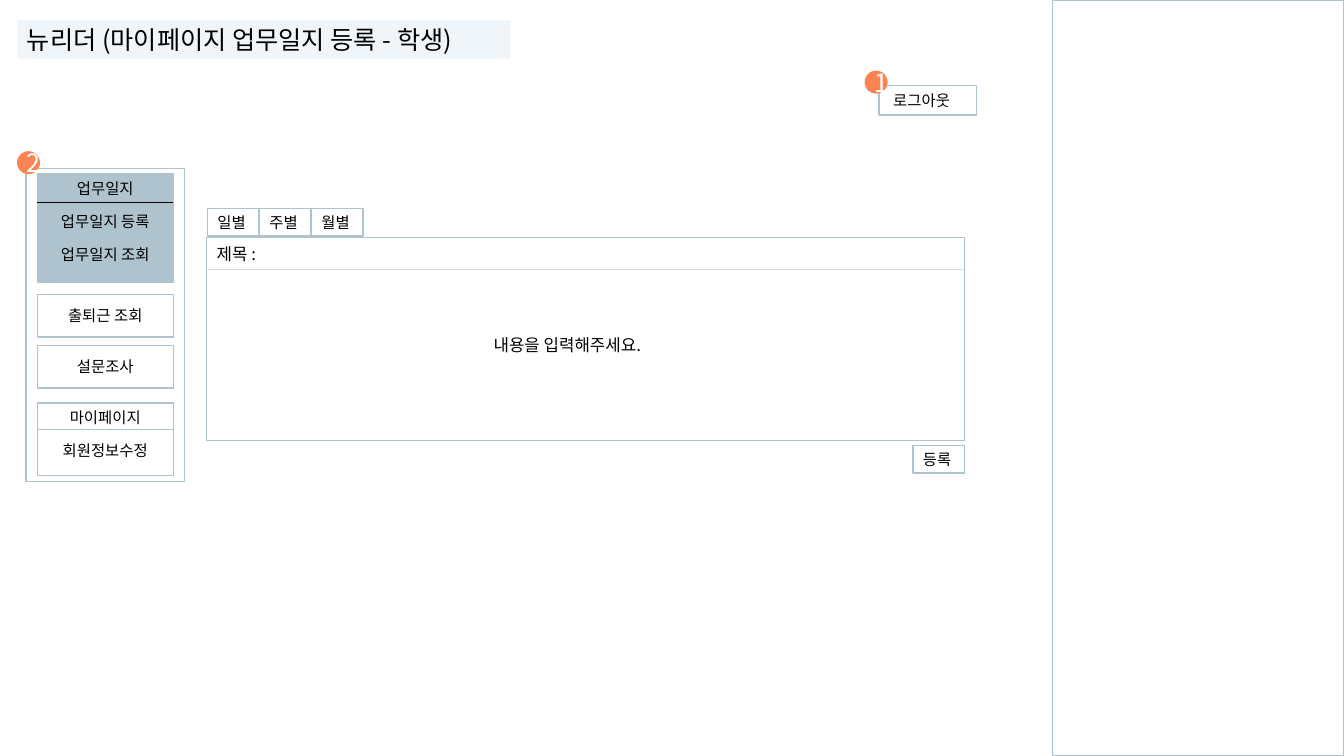
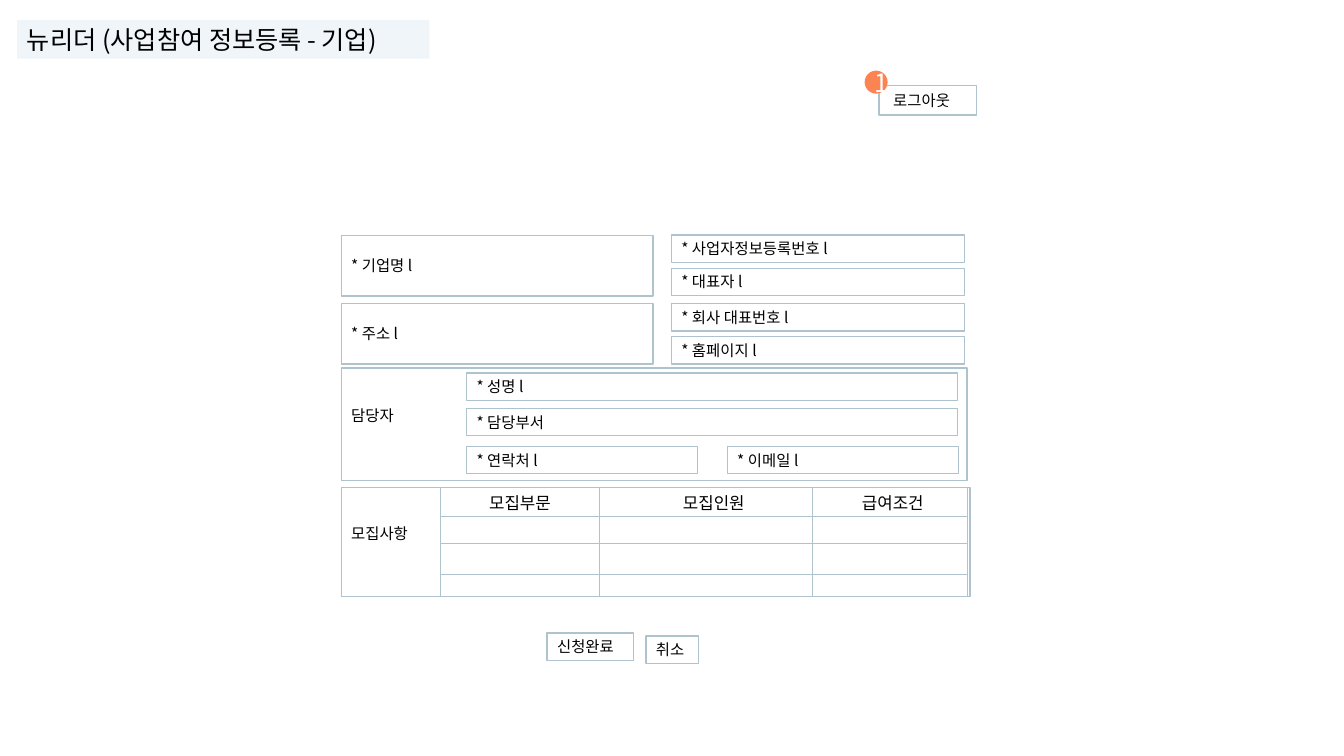
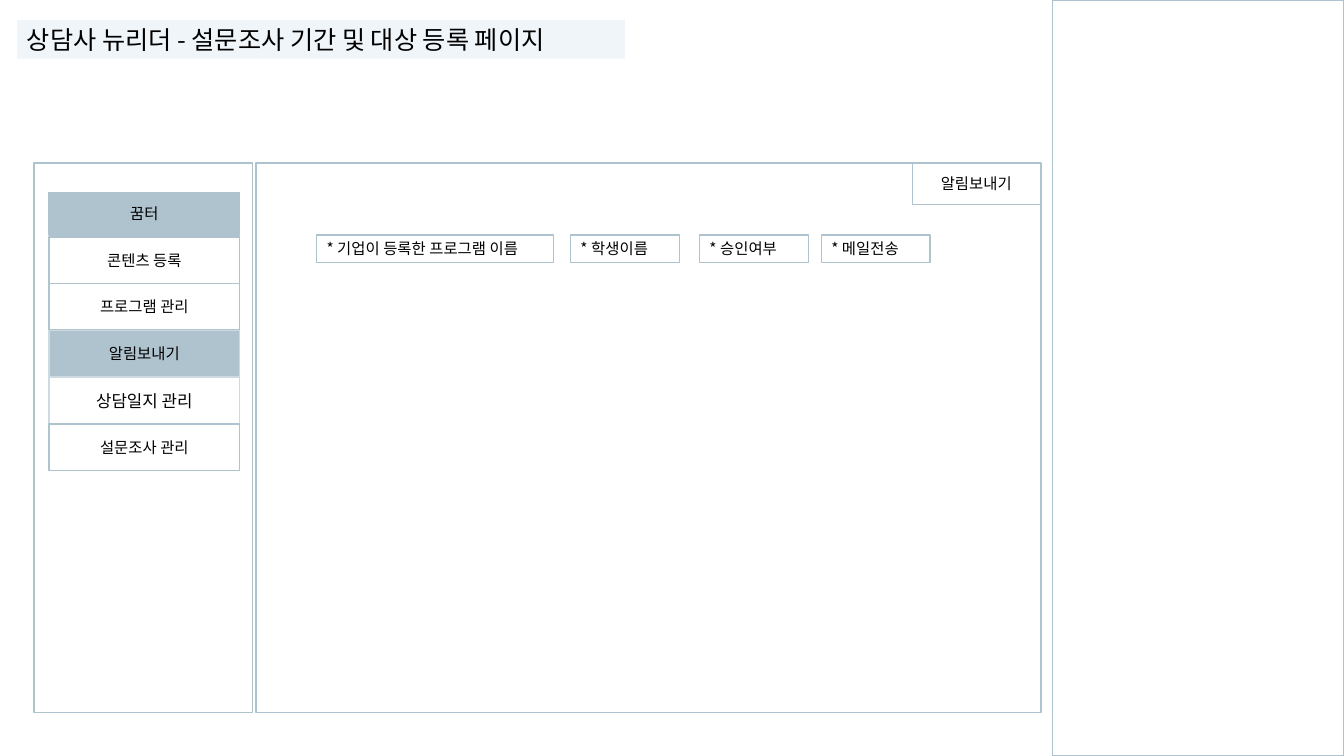
from dataclasses import dataclass

from lxml.etree import SubElement
from pptx import Presentation
from pptx.dml.color import RGBColor
from pptx.enum.shapes import MSO_CONNECTOR, MSO_SHAPE
from pptx.enum.text import MSO_ANCHOR, PP_ALIGN
from pptx.oxml import parse_xml
from pptx.oxml.ns import nsdecls, qn
from pptx.util import Cm, Pt

FONT = "Noto Sans CJK KR"
HUES = {
    "ink": "000000",
    "white": "FFFFFF",
    "band": "F0F5F9",
    "edge": "AFC3CE",
    "pale": "CDDAE1",
    "badge": "FC8453",
}
ROW = 0.69  # height of a one-line field
LEFT, MID = PP_ALIGN.LEFT, PP_ALIGN.CENTER


@dataclass
class Box:
    """A rectangle in centimetres, with its text and look."""
    x: float
    y: float
    w: float
    h: float = ROW
    text: str = ""
    align: PP_ALIGN = LEFT
    size: float = 11
    fill: str = ""
    line: str = "edge"
    top: bool = False
    pad: float = 0.25
    foot: float = 0.13


def hue(name: str) -> RGBColor:
    return RGBColor.from_string(HUES[name])


def put_text(frame, text: str, *, size: float = 11, color: str = "ink",
             align=LEFT, gap: float = 10.5) -> None:
    """Fill a text frame, one paragraph a line, with a gap between them."""
    frame.word_wrap = True
    for i, part in enumerate(text.split("\n")):
        para = frame.add_paragraph() if i else frame.paragraphs[0]
        para.alignment = align
        if i:
            para.space_before = Pt(gap)
        run = para.add_run()
        run.text = part
        run.font.size = Pt(size)
        run.font.color.rgb = hue(color)
        run.font.name = FONT
        SubElement(run.font._element, qn("a:ea"), typeface=FONT)


def add_box(slide, box: Box, kind=MSO_SHAPE.RECTANGLE, color: str = "ink") -> None:
    shape = slide.shapes.add_shape(kind, Cm(box.x), Cm(box.y), Cm(box.w), Cm(box.h))
    shape.shadow.inherit = False
    if box.fill:
        shape.fill.solid()
        shape.fill.fore_color.rgb = hue(box.fill)
    else:
        shape.fill.background()
    if box.line:
        shape.line.color.rgb = hue(box.line)
        shape.line.width = Pt(1)
    else:
        shape.line.fill.background()
    if box.text:
        frame = shape.text_frame
        frame.vertical_anchor = MSO_ANCHOR.TOP if box.top else MSO_ANCHOR.MIDDLE
        frame.margin_left = Cm(box.pad)
        frame.margin_bottom = Cm(box.foot)
        put_text(frame, box.text, size=box.size, color=color, align=box.align)


def add_all(slide, boxes: list[Box]) -> None:
    for box in boxes:
        add_box(slide, box)


def add_label(slide, x: float, y: float, w: float, text: str) -> None:
    label = slide.shapes.add_textbox(Cm(x), Cm(y), Cm(w), Cm(0.76))
    put_text(label.text_frame, text, size=12)


def add_rule(slide, x: float, y: float, w: float, color: str, width: float) -> None:
    """Draw a level line."""
    rule = slide.shapes.add_connector(
        MSO_CONNECTOR.STRAIGHT, Cm(x), Cm(y), Cm(x + w), Cm(y))
    rule.line.color.rgb = hue(color)
    rule.line.width = Pt(width)
    SubElement(rule._element.spPr, qn("a:effectLst"))


def add_badge(slide, x: float, y: float, text: str) -> None:
    add_box(slide, Box(x, y, 0.58, 0.58, text, MID, 18, "badge", ""),
            MSO_SHAPE.OVAL, "white")


def add_title(slide, text: str, w: float) -> None:
    add_box(slide, Box(0.43, 0.51, w, 0.97, text, size=18, fill="band", line=""))


def add_logout(slide) -> None:
    add_box(slide, Box(22.15, 2.16, 2.46, 0.74, "로그아웃", pad=0.36))
    add_badge(slide, 21.79, 1.78, "1")


def add_panel(slide) -> None:
    add_box(slide, Box(26.52, 0, 7.35, 19.05))


def add_edges(cell) -> None:
    """Give a cell thin lines on all four sides."""
    for i, side in enumerate("LRTB"):
        edge = parse_xml(
            f'<a:ln{side} {nsdecls("a")} w="6350"><a:solidFill>'
            f'<a:srgbClr val="{HUES["edge"]}"/></a:solidFill></a:ln{side}>')
        cell._tc.get_or_add_tcPr().insert(i, edge)


def add_grid(slide, x: float, y: float) -> None:
    """Draw the table of open posts."""
    heads = [("모집부문", 4.01, 0), ("모집인원", 5.36, 0.4), ("급여조건", 3.91, 0.15)]
    rows = [0.71, 0.69, 0.79, 0.55]
    wide = sum(w for _, w, _ in heads)
    table = slide.shapes.add_table(
        len(rows), len(heads), Cm(x), Cm(y), Cm(wide), Cm(sum(rows))).table
    table.first_row = table.horz_banding = False
    for r, high in enumerate(rows):
        table.rows[r].height = Cm(high)
        for c, (text, w, pad) in enumerate(heads):
            table.columns[c].width = Cm(w)
            cell = table.cell(r, c)
            cell.fill.background()
            add_edges(cell)
            cell.margin_left = Cm(pad)
            cell.margin_right = cell.margin_top = cell.margin_bottom = 0
            cell.vertical_anchor = MSO_ANCHOR.MIDDLE
            if r == 0:
                put_text(cell.text_frame, text, size=12, align=MID)
            else:
                para = cell.text_frame.paragraphs[0]
                SubElement(para._p, qn("a:endParaRPr"), sz="600")


def draw_log(slide) -> None:
    add_title(slide, "뉴리더 (마이페이지 업무일지 등록 - 학생)", 12.42)
    add_logout(slide)
    add_panel(slide)

    add_all(slide, [
        Box(5.21, 5.99, 19.1, 5.11),
        Box(23.01, 11.23, 1.3, text="등록"),
    ])
    add_all(slide, [Box(5.23 + 1.31 * i, 5.26, 1.3, text=tab)
                    for i, tab in enumerate(["일별", "주별", "월별"])])
    add_rule(slide, 5.23, 6.78, 19.05, "pale", 0.5)
    add_label(slide, 5.21, 6.02, 3.2, "제목 :")
    add_label(slide, 12.19, 8.31, 4.8, "내용을 입력해주세요.")

    x, w = 0.94, 3.43
    add_all(slide, [
        Box(0.66, 4.24, 3.99, 7.9),
        Box(x, 4.39, w, 2.72, "업무일지\n업무일지 등록\n업무일지 조회", MID,
            fill="edge", top=True),
        Box(x, 7.42, w, 1.07, "출퇴근 조회", MID),
        Box(x, 8.71, w, 1.07, "설문조사", MID),
        Box(x, 10.16, w, 1.83, "마이페이지\n회원정보수정", MID, top=True),
    ])
    add_rule(slide, x, 5.11, w, "ink", 1)
    add_rule(slide, x, 10.82, w, "edge", 1)
    add_badge(slide, 0.43, 3.81, "2")


def draw_form(slide) -> None:
    add_title(slide, "뉴리더 (사업참여 정보등록 - 기업)", 10.39)
    add_logout(slide)
    x, mid, right = 8.6, 11.76, 16.92
    add_all(slide, [
        Box(x, 5.94, 7.86, 1.52, "* 기업명 l"),
        Box(x, 7.65, 7.86, 1.52, "* 주소 l"),
        Box(right, 5.92, 7.39, text="* 사업자정보등록번호 l"),
        Box(right, 6.76, 7.39, text="* 대표자 l"),
        Box(right, 7.65, 7.39, text="* 회사 대표번호 l"),
        Box(right, 8.48, 7.39, text="* 홈페이지 l"),
        Box(x, 9.27, 15.77, 2.84, "담당자", foot=0.59),
        Box(mid, 9.4, 12.37, text="* 성명 l"),
        Box(mid, 10.29, 12.37, text="* 담당부서"),
        Box(mid, 11.25, 5.82, text="* 연락처 l"),
        Box(18.33, 11.25, 5.82, text="* 이메일 l"),
        Box(x, 12.29, 15.85, 2.74, "모집사항", foot=0.59),
        Box(13.79, 15.95, 2.18, text="신청완료"),
        Box(16.28, 16.03, 1.32, text="취소"),
    ])
    add_grid(slide, 11.1, 12.29)


def draw_alert(slide) -> None:
    add_panel(slide)
    add_title(slide, "상담사 뉴리더 - 설문조사 기간 및 대상 등록 페이지", 15.32)
    y = 5.92
    add_all(slide, [
        Box(6.45, 4.11, 19.79, 13.84),
        Box(22.99, 4.11, 3.23, 1.04, "알림보내기", MID),
        Box(7.98, y, 5.97, text="* 기업이 등록한 프로그램 이름"),
        Box(14.38, y, 2.74, text="* 학생이름"),
        Box(17.63, y, 2.74, text="* 승인여부"),
        Box(20.7, y, 2.74, text="* 메일전송"),
        Box(0.86, 4.11, 5.51, 13.84),
        Box(1.24, 4.85, 4.8, 1.07, "꿈터", MID, fill="edge"),
    ])
    menu = [
        ("콘텐츠 등록", 11, "", "edge"),
        ("프로그램 관리", 11, "", "edge"),
        ("알림보내기", 11, "edge", "pale"),
        ("상담일지 관리", 12, "", "pale"),
        ("설문조사 관리", 11, "", "edge"),
    ]
    add_all(slide, [
        Box(1.24, 5.97 + 1.18 * i, 4.8, 1.17, text, MID, size, fill, line)
        for i, (text, size, fill, line) in enumerate(menu)])


def main() -> None:
    deck = Presentation()
    deck.slide_width, deck.slide_height = Cm(33.87), Cm(19.05)
    for draw in (draw_log, draw_form, draw_alert):
        draw(deck.slides.add_slide(deck.slide_layouts[6]))
    deck.save("out.pptx")


if __name__ == "__main__":
    main()
